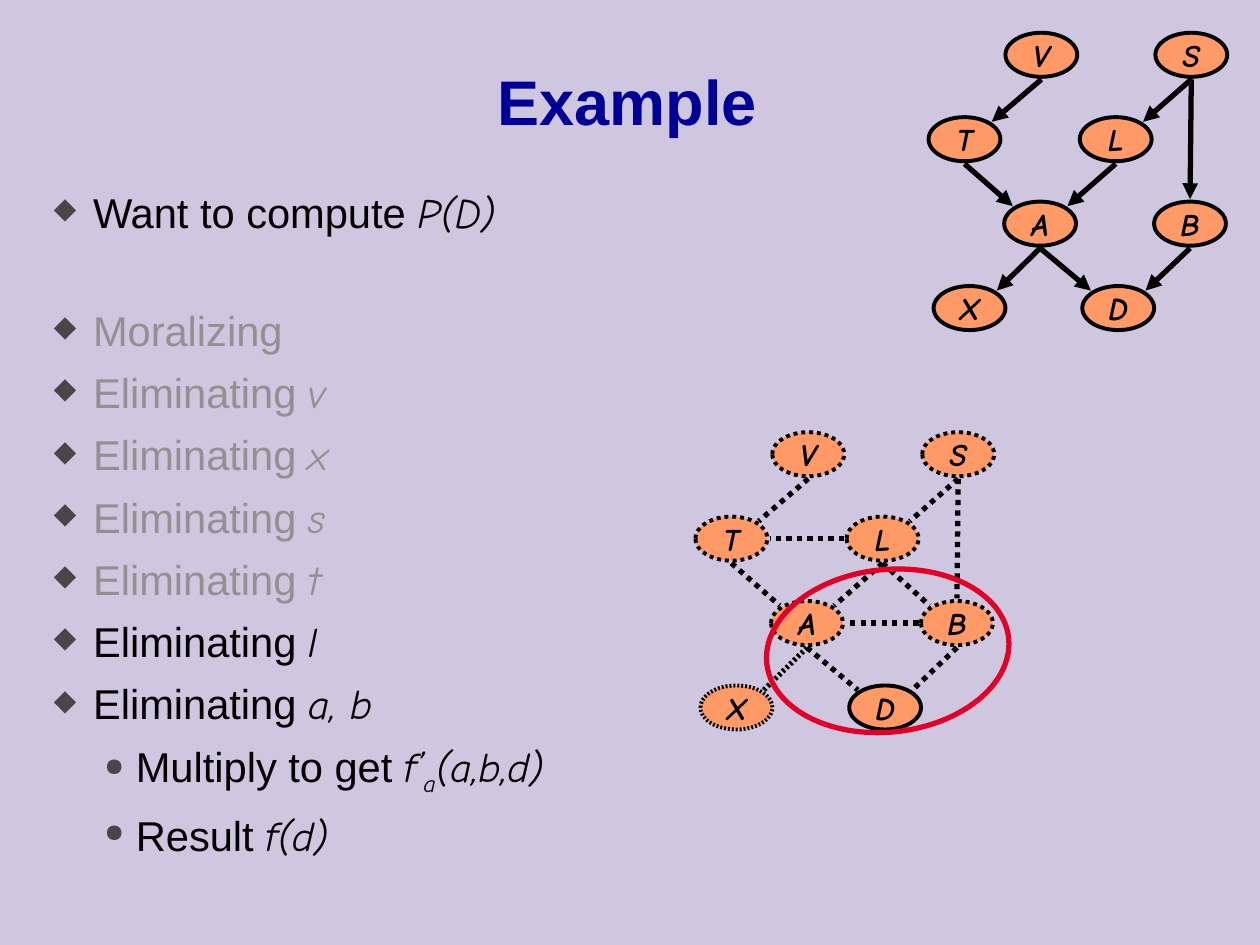
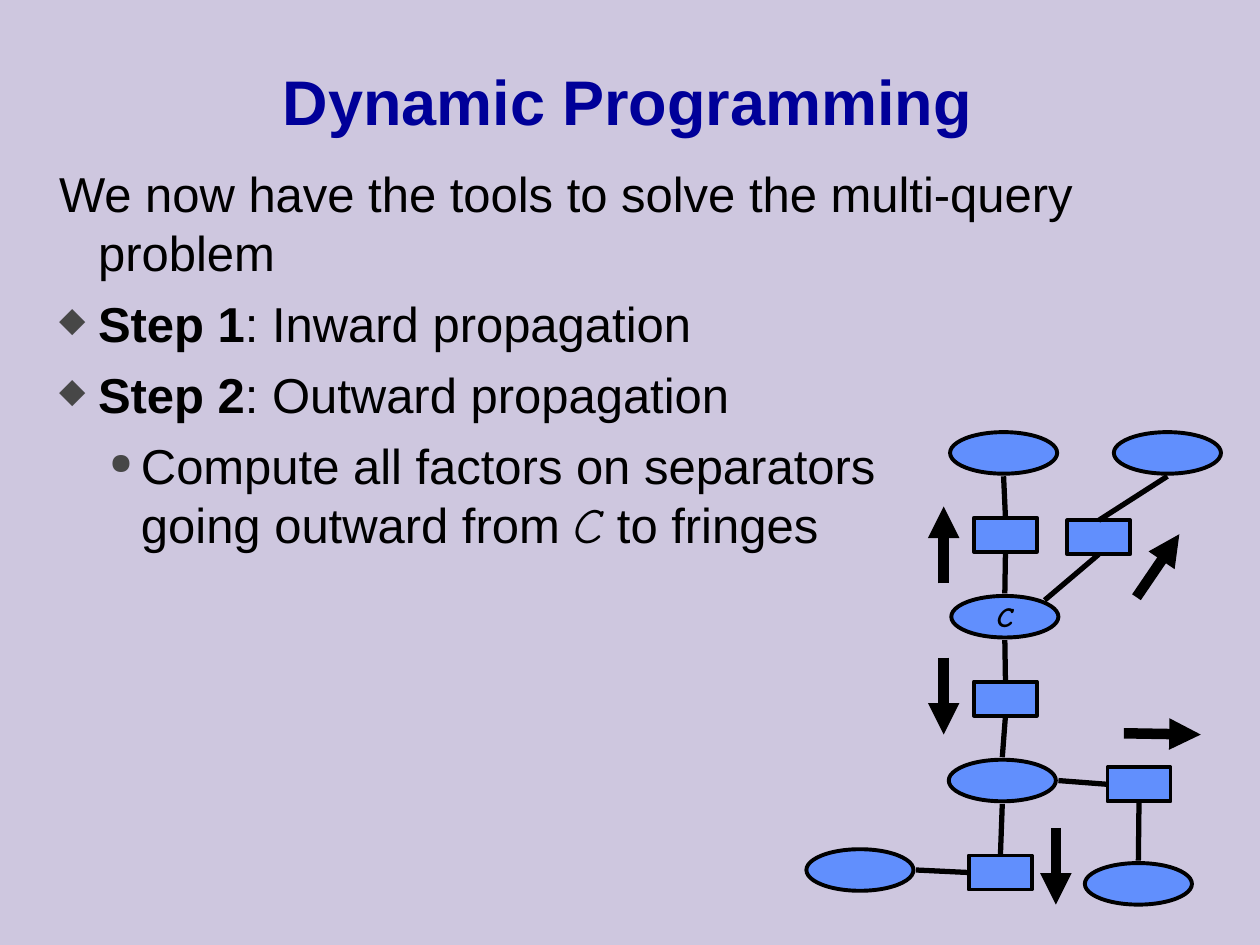
from lxml.etree import SubElement
from pptx import Presentation
from pptx.dml.color import RGBColor
from pptx.enum.dml import MSO_LINE_DASH_STYLE as Dash
from pptx.enum.shapes import MSO_CONNECTOR, MSO_SHAPE as Shape
from pptx.enum.text import MSO_ANCHOR as Anchor, PP_ALIGN as Align
from pptx.oxml.ns import qn
from pptx.util import Inches, Pt

COLORS = {
    "background": "CEC7DF", "title": "000099", "text": "000000",
    "done": "919191", "bullet": "474747", "line": "000000",
    "variable": "FF9966", "clique": "618FFD", "highlight": "E30127",
}
TEXT_FONT, MATH_FONT = "Arial", "Comic Neue"

# level: (bullet, bullet size in %, left margin, first-line indent)
LEVELS = {
    "lead": (None, None, 0.31, -0.31),
    "item": ("◆", 70, 0.31, -0.31),
    "sub": ("●", 60, 0.65, -0.25),
}
# direction: unit offset from the centre of an ellipse
DIAGONAL = 0.71
DIRECTIONS = {
    "n": (0, -1), "s": (0, 1), "w": (-1, 0), "e": (1, 0),
    "nw": (-DIAGONAL, -DIAGONAL), "ne": (DIAGONAL, -DIAGONAL),
    "sw": (-DIAGONAL, DIAGONAL), "se": (DIAGONAL, DIAGONAL),
}
TOP, LEFT, BOTTOM = 0, 1, 2
GAP = 0.02

VARIABLE_SIZE = (0.57, 0.35)
CLIQUE_SIZE = (0.85, 0.33)
SEPARATOR_SIZE = (0.5, 0.27)

VARIABLES = {
    "V": (7.98, 0.26), "S": (9.17, 0.26), "T": (7.37, 0.93), "L": (8.57, 0.93),
    "A": (7.97, 1.6), "B": (9.16, 1.6), "X": (7.41, 2.27), "D": (8.59, 2.27),
}
MORAL_SHIFT = (-1.85, 3.17)
NETWORK_EDGES = [
    ("V", "s", "T", "ne"), ("T", "s", "A", "nw"), ("L", "s", "A", "ne"),
    ("A", "s", "X", "ne"), ("A", "s", "D", "nw"), ("B", "s", "D", "ne"),
    ("S", "s", "L", "ne"), ("S", "s", "B", "n"),
]
MORAL_EDGES = NETWORK_EDGES + [
    ("L", "w", "T", "e"), ("B", "w", "A", "e"), ("L", "s", "B", "nw"),
]

CLIQUES = {
    "top": (7.54, 3.43), "top right": (8.84, 3.43), "C": (7.55, 4.73),
    "hub": (7.53, 6.03), "left": (6.4, 6.74), "right": (8.61, 6.85),
}
SEPARATORS = {
    "above C": (7.73, 4.11), "right of C": (8.47, 4.13), "below C": (7.73, 5.41),
    "below hub": (7.69, 6.79), "beside hub": (8.79, 6.09),
}
TREE_EDGES = [
    ("above C", TOP, "top", "s"), ("above C", BOTTOM, "C", "n"),
    ("right of C", TOP, "top right", "s"), ("right of C", BOTTOM, "C", "ne"),
    ("below C", TOP, "C", "s"), ("below C", BOTTOM, "hub", "n"),
    ("below hub", TOP, "hub", "s"), ("below hub", LEFT, "left", "e"),
    ("beside hub", LEFT, "hub", "e"), ("beside hub", BOTTOM, "right", "n"),
]
OUTWARD_ARROWS = [
    ((7.49, 4.63), (7.49, 4.02)), ((9.02, 4.74), (9.36, 4.24)),
    ((7.49, 5.22), (7.49, 5.83)), ((8.38, 6.57), (8.38, 7.18)),
    ((8.92, 5.82), (9.53, 5.83)),
]


def rgb(name):
    return RGBColor.from_string(COLORS[name])


def add_titled_slide(prs, text):
    slide = prs.slides.add_slide(prs.slide_layouts[5])
    title = slide.shapes.title
    title.left, title.top = Inches(0.38), Inches(0.17)
    title.width, title.height = Inches(9.2), Inches(1.25)
    title.text_frame.vertical_anchor = Anchor.MIDDLE
    paragraph = title.text_frame.paragraphs[0]
    paragraph.alignment = Align.CENTER
    add_run(paragraph, text, "bold", 36, "title")
    return slide


def add_run(paragraph, text, style, size, color):
    """Add text in style plain, bold, math, subscript or node."""
    run = paragraph.add_run()
    run.text = text
    font = run.font
    is_math = style in ("math", "subscript", "node")
    font.name = MATH_FONT if is_math else TEXT_FONT
    font.size, font.color.rgb = Pt(size), rgb(color)
    font.italic = is_math
    font.bold = style in ("bold", "node")
    if style == "subscript":
        run._r.get_or_add_rPr().set("baseline", "-25000")


def set_level(paragraph, level):
    bullet, percent, margin, indent = LEVELS[level]
    props = paragraph._p.get_or_add_pPr()
    props.set("marL", str(Inches(margin)))
    props.set("indent", str(Inches(indent)))
    if bullet:
        color = SubElement(props, qn("a:buClr"))
        SubElement(color, qn("a:srgbClr"), val=COLORS["bullet"])
        SubElement(props, qn("a:buSzPct"), val=str(percent * 1000))
        SubElement(props, qn("a:buChar"), char=bullet)


def add_body(slide, box, size, items):
    """Each item is level, colour, space before, then (text, style) pairs."""
    frame = slide.shapes.add_textbox(*map(Inches, box)).text_frame
    frame.word_wrap = True
    for index, (level, color, space, *runs) in enumerate(items):
        paragraph = frame.add_paragraph() if index else frame.paragraphs[0]
        set_level(paragraph, level)
        paragraph.space_before = Pt(space)
        for text, style in runs:
            if text == "\n":
                paragraph.add_line_break()
            else:
                add_run(paragraph, text, style, size, color)


def set_dash(line_owner, dash):
    if dash == "fine":
        outline = line_owner._element.spPr.find(qn("a:ln"))
        pattern = SubElement(outline, qn("a:custDash"))
        SubElement(pattern, qn("a:ds"), d="50000", sp="50000")
    elif dash:
        line_owner.line.dash_style = dash


def add_node(slide, kind, position, size, fill, label="", label_size=18, dash=None):
    node = slide.shapes.add_shape(kind, *map(Inches, position + size))
    node.shadow.inherit = False
    node.fill.solid()
    node.fill.fore_color.rgb = rgb(fill)
    node.line.color.rgb, node.line.width = rgb("line"), Pt(2.25)
    set_dash(node, dash)
    if label:
        frame = node.text_frame
        frame.word_wrap, frame.vertical_anchor = False, Anchor.MIDDLE
        paragraph = frame.paragraphs[0]
        paragraph.alignment = Align.CENTER
        add_run(paragraph, label, "node", label_size, "text")
    return node


def ellipse_point(position, size, direction):
    """Point just outside an ellipse, in the given compass direction."""
    return tuple(start + extent / 2 + unit * (extent / 2 + GAP)
                 for start, extent, unit in zip(position, size, DIRECTIONS[direction]))


def add_line(slide, start, end, width=3, dash=None, arrow=False):
    line = slide.shapes.add_connector(MSO_CONNECTOR.STRAIGHT, *map(Inches, start + end))
    line.line.color.rgb, line.line.width = rgb("line"), Pt(width)
    set_dash(line, dash)
    if arrow:
        SubElement(line._element.spPr.find(qn("a:ln")), qn("a:tailEnd"), type="triangle")
    SubElement(line._element.spPr, qn("a:effectLst"))
    return line


def add_graph(slide, edges, shift=(0, 0), dashes=None, default_dash=None, arrow=False):
    """Draw the variables and their edges; dashes holds the exceptions."""
    dashes = dashes or {}
    places = {name: (x + shift[0], y + shift[1]) for name, (x, y) in VARIABLES.items()}
    for name, place in places.items():
        add_node(slide, Shape.OVAL, place, VARIABLE_SIZE, "variable", name,
                 dash=dashes.get(name, default_dash))
    for source, leaving, target, entering in edges:
        add_line(slide, ellipse_point(places[source], VARIABLE_SIZE, leaving),
                 ellipse_point(places[target], VARIABLE_SIZE, entering),
                 dash=dashes.get(source + target, default_dash), arrow=arrow)


def add_highlight(slide):
    ring = slide.shapes.add_shape(Shape.OVAL, *map(Inches, (6.4, 4.2, 1.29, 1.93)))
    ring.rotation = 84
    ring.shadow.inherit = False
    ring.fill.background()
    ring.line.color.rgb, ring.line.width = rgb("highlight"), Pt(3)


def add_clique_tree(slide):
    for name, place in CLIQUES.items():
        add_node(slide, Shape.OVAL, place, CLIQUE_SIZE, "clique",
                 "C" if name == "C" else "", 16)
    separators = {name: add_node(slide, Shape.RECTANGLE, place, SEPARATOR_SIZE, "clique")
                  for name, place in SEPARATORS.items()}
    for separator, side, clique, direction in TREE_EDGES:
        end = ellipse_point(CLIQUES[clique], CLIQUE_SIZE, direction)
        add_line(slide, end, end).begin_connect(separators[separator], side)


def build_example(prs):
    slide = add_titled_slide(prs, "Example")

    def eliminating(variable, color):
        return "item", color, 7, ("Eliminating ", "plain"), (variable, "math")

    add_body(slide, (0.33, 1.43, 9.45, 5.59), 23.8, [
        ("item", "text", 0, ("Want to compute ", "plain"), ("P(D)", "math")),
        ("item", "done", 39, ("Moralizing", "plain")),
        *(eliminating(variable, "done") for variable in "vxst"),
        *(eliminating(variable, "text") for variable in ("l", "a, b")),
        ("sub", "text", 7, ("Multiply to get ", "plain"), ("f’", "math"),
         ("a", "subscript"), ("(a,b,d)", "math")),
        ("sub", "text", 7, ("Result ", "plain"), ("f(d)", "math")),
    ])
    add_graph(slide, NETWORK_EDGES, arrow=True)
    add_graph(slide, MORAL_EDGES, MORAL_SHIFT, {"D": None, "X": "fine", "AX": "fine"},
              Dash.ROUND_DOT)
    add_highlight(slide)


def build_dynamic_programming(prs):
    slide = add_titled_slide(prs, "Dynamic Programming")
    add_body(slide, (0.37, 1.25, 9.21, 5.55), 28, [
        ("lead", "text", 0,
         ("We now have the tools to solve the multi-query problem", "plain")),
        ("item", "text", 7, ("Step 1", "bold"), (": Inward propagation", "plain")),
        ("item", "text", 7, ("Step 2", "bold"), (": Outward propagation", "plain")),
        ("sub", "text", 7, ("Compute all factors on separators", "plain"), ("\n", "plain"),
         ("going outward from ", "plain"), ("C", "math"), (" to fringes", "plain")),
    ])
    add_clique_tree(slide)
    for start, end in OUTWARD_ARROWS:
        add_line(slide, start, end, width=6, arrow=True)


def main():
    prs = Presentation()
    prs.slide_width, prs.slide_height = Inches(10), Inches(7.5)
    background = prs.slide_master.background.fill
    background.solid()
    background.fore_color.rgb = rgb("background")
    build_example(prs)
    build_dynamic_programming(prs)
    prs.save("out.pptx")


if __name__ == "__main__":
    main()
